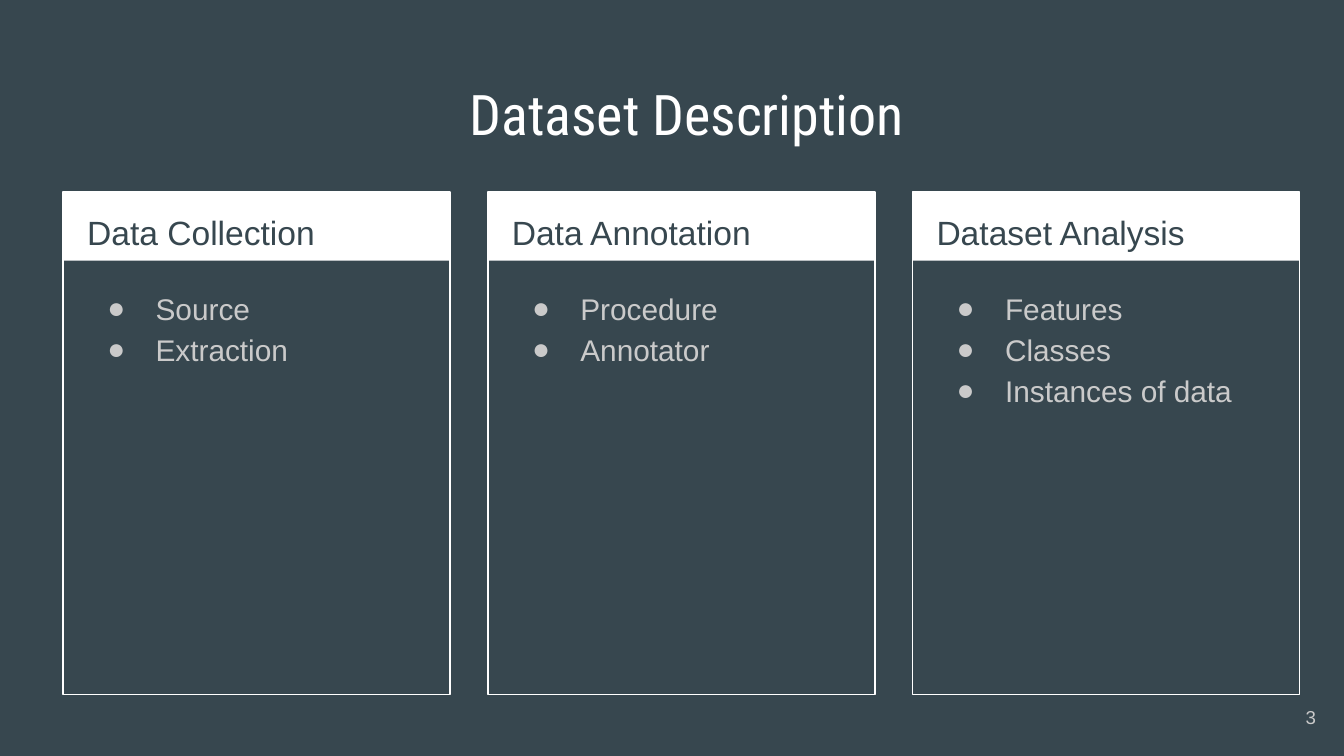
from lxml.etree import SubElement
from pptx import Presentation
from pptx.dml.color import RGBColor
from pptx.enum.shapes import MSO_SHAPE as Shape
from pptx.enum.text import MSO_ANCHOR as Anchor, PP_ALIGN as Align
from pptx.oxml.ns import qn
from pptx.util import Inches, Pt

SLATE, WHITE, GREY = "37474F", "FFFFFF", "CACACA"
TITLE = "Dataset Description"
PAGE_NUMBER = "3"
CARDS = [
    ("Data Collection", ["Source", "Extraction"]),
    ("Data Annotation", ["Procedure", "Annotator"]),
    ("Dataset Analysis", ["Features", "Classes", "Instances of data"]),
]
CARD_LEFT, CARD_TOP, CARD_WIDTH, CARD_HEIGHT = 0.47, 1.43, 2.88, 3.74
CARD_STEP = 3.16
HEADER_HEIGHT = 0.51


def color(value):
    return RGBColor.from_string(value)


def add_text(page, area, lines, size, ink, font="Arial", align=Align.LEFT,
             anchor=Anchor.TOP, spacing=1.0, left_inset=0.1):
    box = page.shapes.add_textbox(*map(Inches, area))
    frame = box.text_frame
    frame.word_wrap = True
    frame.vertical_anchor = anchor
    frame.margin_left = Inches(left_inset)
    frame.margin_top = frame.margin_right = frame.margin_bottom = Inches(0.1)
    frame.text = "\n".join(lines)
    for para in frame.paragraphs:
        para.alignment = align
        para.line_spacing = spacing
        para.font.name = font
        para.font.size = Pt(size)
        para.font.color.rgb = color(ink)
    return frame


def add_bullets(frame, ink):
    for para in frame.paragraphs:
        props = para._p.get_or_add_pPr()
        props.set("marL", str(Inches(0.5)))
        props.set("indent", str(Inches(-0.36)))
        tint = SubElement(props, qn("a:buClr"))
        SubElement(tint, qn("a:srgbClr"), val=ink)
        SubElement(props, qn("a:buFont"), typeface="Arial")
        SubElement(props, qn("a:buChar"), char="●")
        # Schema order puts the default run properties after the bullet.
        props.append(props.find(qn("a:defRPr")))


def add_rectangle(page, area, fill=None, line=None):
    box = page.shapes.add_shape(Shape.RECTANGLE, *map(Inches, area))
    box.shadow.inherit = False
    if fill:
        box.fill.solid()
        box.fill.fore_color.rgb = color(fill)
    else:
        box.fill.background()
    if line:
        box.line.color.rgb = color(line)
        box.line.width = Pt(0.75)
    else:
        box.line.fill.background()


def add_card(page, left, heading, items):
    add_rectangle(page, (left, CARD_TOP, CARD_WIDTH, HEADER_HEIGHT), fill=WHITE)
    add_rectangle(page, (left, CARD_TOP, CARD_WIDTH, CARD_HEIGHT), line=WHITE)
    add_text(page, (left + 0.08, CARD_TOP, 2.73, 0.5), [heading], 18, SLATE,
             spacing=1.15)
    body = add_text(page, (left + 0.09, 2.02, 2.71, 3.06), items, 16, GREY,
                    spacing=1.15)
    add_bullets(body, GREY)


def main():
    deck = Presentation()
    deck.slide_width = Inches(10)
    deck.slide_height = deck.slide_width * 9 // 16
    page = deck.slides.add_slide(deck.slide_layouts[6])
    page.background.fill.solid()
    page.background.fill.fore_color.rgb = color(SLATE)

    add_text(page, (0.34, 0.49, 9.32, 0.63), [TITLE], 30, WHITE,
             font="Roboto Condensed", align=Align.CENTER, left_inset=0.32)
    for index, (heading, items) in enumerate(CARDS):
        add_card(page, CARD_LEFT + index * CARD_STEP, heading, items)
    add_text(page, (9.29, 5.12, 0.6, 0.43), [PAGE_NUMBER], 10, GREY,
             align=Align.RIGHT, anchor=Anchor.MIDDLE)
    deck.save("out.pptx")


if __name__ == "__main__":
    main()
